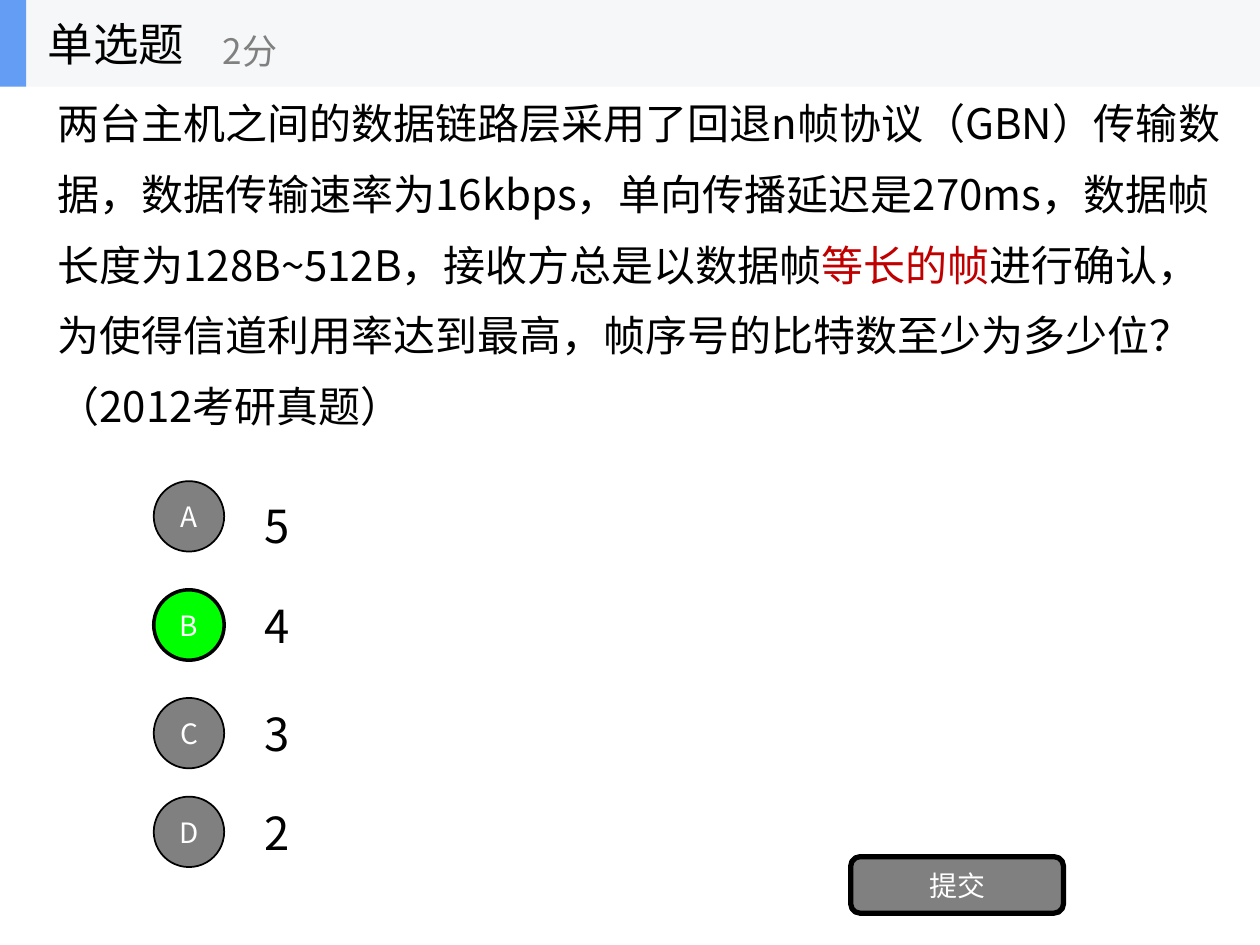
from dataclasses import dataclass

from lxml.etree import SubElement
from pptx import Presentation
from pptx.dml.color import RGBColor as RGB
from pptx.enum.shapes import MSO_SHAPE as Kind
from pptx.enum.text import MSO_ANCHOR as Anchor, PP_ALIGN as Align
from pptx.oxml.ns import qn
from pptx.util import Cm, Pt


@dataclass(frozen=True)
class Theme:
    font: str = "Noto Sans CJK SC"
    ink: str = "000000"
    grey: str = "808080"
    white: str = "FFFFFF"
    red: str = "C00000"
    green: str = "00FF00"
    blue: str = "639EF4"
    pale: str = "F6F7F8"
    title: int = 26
    body: int = 24
    score: int = 20
    label: int = 16


THEME = Theme()


def style(run, size, color):
    run.font.size = Pt(size)
    run.font.color.rgb = RGB.from_string(color)
    run.font.name = THEME.font
    east = SubElement(run._r.get_or_add_rPr(), qn("a:ea"))
    east.set("typeface", THEME.font)


def add_text(shapes, box, parts, size):
    frame = shapes.add_textbox(*map(Cm, box)).text_frame
    frame.word_wrap = True
    frame.vertical_anchor = Anchor.MIDDLE
    para = frame.paragraphs[0]
    for text, color in parts:
        run = para.add_run()
        run.text = text
        style(run, size, color)
    return para


def add_block(shapes, kind, box, fill, line=0, text=""):
    shape = shapes.add_shape(kind, *map(Cm, box))
    shape.shadow.inherit = False
    shape.fill.solid()
    shape.fill.fore_color.rgb = RGB.from_string(fill)
    if line:
        shape.line.color.rgb = RGB.from_string(THEME.ink)
        shape.line.width = Pt(line)
    else:
        shape.line.fill.background()
    if text:
        frame = shape.text_frame
        frame.text = text
        frame.word_wrap = False
        frame.vertical_anchor = Anchor.MIDDLE
        para = frame.paragraphs[0]
        para.alignment = Align.CENTER
        style(para.runs[0], THEME.label, THEME.white)
    return shape


def add_head(slide, box):
    left, top, width, height = box
    shapes = slide.shapes.add_group_shape().shapes
    add_block(shapes, Kind.RECTANGLE, box, THEME.pale)
    add_block(shapes, Kind.RECTANGLE, (left, top, 0.53, height), THEME.blue)
    add_text(shapes, (left + 0.71, top, 5.28, height),
             [("单选题", THEME.ink)], THEME.title)
    add_text(shapes, (left + 4.24, top + 0.3, 6.35, 1.42),
             [("2分", THEME.grey)], THEME.score)


def add_question(slide, box):
    parts = [
        ("两台主机之间的数据链路层采用了回退n帧协议（GBN）传输数据，"
         "数据传输速率为16kbps，单向传播延迟是270ms，"
         "数据帧长度为128B~512B，接收方总是以数据帧", THEME.ink),
        ("等长的帧", THEME.red),
        ("进行确认，为使得信道利用率达到最高，"
         "帧序号的比特数至少为多少位？（2012考研真题）", THEME.ink),
    ]
    para = add_text(slide.shapes, box, parts, THEME.body)
    para.line_spacing = 1.4


def add_choice(slide, box, mark, text, drop=0, right=False):
    left, top, width, height = box
    size = 1.42
    inset = (height - size) / 2
    add_block(slide.shapes, Kind.OVAL, (left, top + inset, size, size),
              THEME.green if right else THEME.grey, 2 if right else 1, mark)
    add_text(slide.shapes, (left + 1.98, top + drop, width - 1.98, height),
             [(text, THEME.ink)], THEME.title)


def add_submit(slide, box):
    add_block(slide.shapes, Kind.ROUNDED_RECTANGLE, box,
              THEME.grey, 3, "提交")


def main():
    deck = Presentation()
    deck.slide_width, deck.slide_height = Cm(25.4), Cm(19.05)
    slide = deck.slides.add_slide(deck.slide_layouts[6])
    add_question(slide, (0.91, 1.19, 24.13, 7.87))
    choices = [
        ("A", "5", 9.52, 0.18),
        ("B", "4", 11.71, 0),
        ("C", "3", 13.89, 0),
        ("D", "2", 15.88, 0),
    ]
    for mark, text, top, drop in choices:
        add_choice(slide, (3.1, top, 19.76, 1.78), mark, text,
                   drop, mark == "B")
    add_submit(slide, (17.15, 17.27, 4.29, 1.14))
    add_head(slide, (0, 0, 25.4, 1.75))
    deck.save("out.pptx")


if __name__ == "__main__":
    main()
